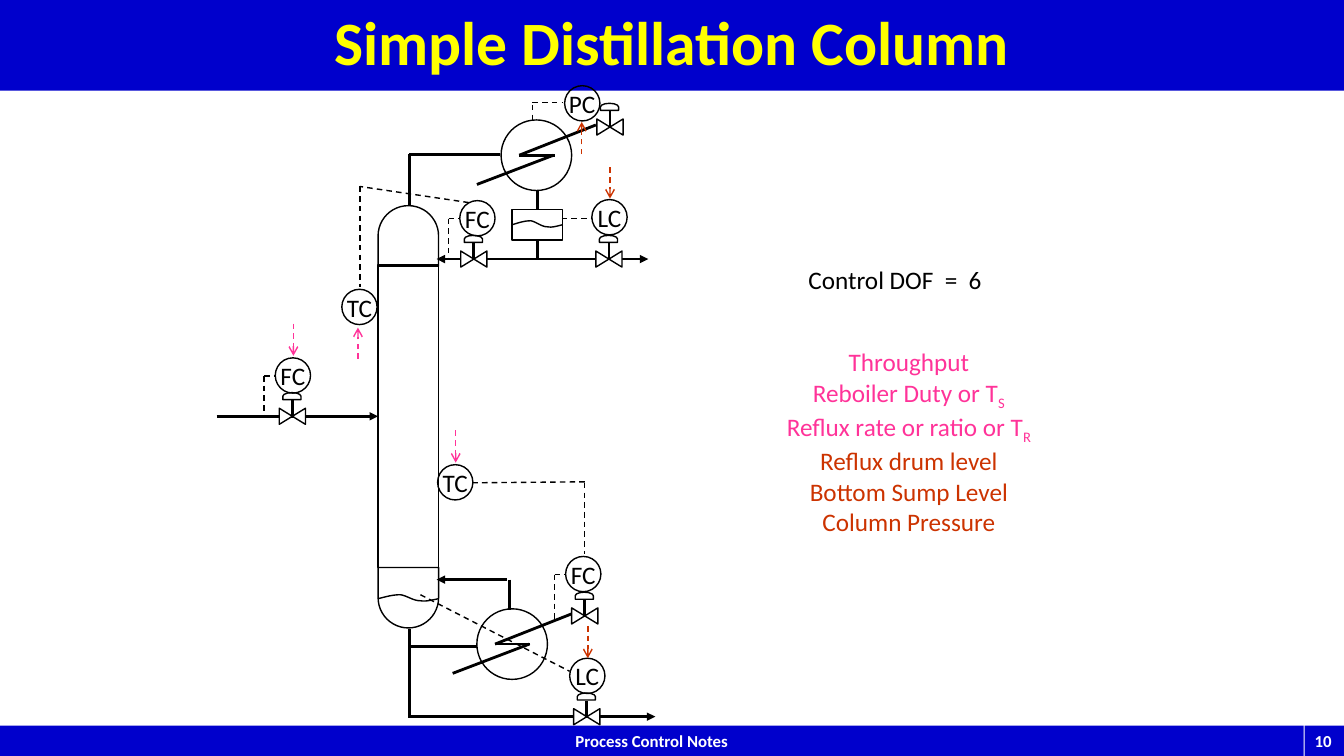
from lxml.etree import SubElement
from pptx import Presentation
from pptx.dml.color import RGBColor
from pptx.enum.dml import MSO_LINE
from pptx.enum.shapes import MSO_CONNECTOR, MSO_SHAPE
from pptx.enum.text import MSO_ANCHOR, MSO_AUTO_SIZE, PP_ALIGN
from pptx.oxml.ns import qn
from pptx.util import Cm, Pt

BLACK = RGBColor(0x00, 0x00, 0x00)
WHITE = RGBColor(0xFF, 0xFF, 0xFF)
BLUE = RGBColor(0x00, 0x00, 0xCC)
YELLOW = RGBColor(0xFF, 0xFF, 0x00)
PINK = RGBColor(0xFF, 0x33, 0x99)
RUST = RGBColor(0xCC, 0x33, 0x00)
TOP, LEFT, BOTTOM = 0, 1, 2

# Bezier points of a liquid surface: x as a share of the width, y in inches
WAVE = [(0, .04), (.12, .02), (.25, 0), (.37, 0), (.48, .01), (.58, .06),
        (.7, .06), (.8, .07), (.9, .05), (1, .04)]


def inches(value):
    return Cm(value * 2.54)


class Flowsheet:
    """Draws process equipment on one slide; positions are in inches."""
    font_name = "Calibri"

    def __init__(self, slide):
        self.slide = slide
        self.shapes = slide.shapes

    def style_run(self, run, size, color, bold=False):
        run.font.name = self.font_name
        run.font.size = Pt(size)
        run.font.bold = bold
        run.font.color.rgb = color

    def title(self, text, place, size):
        box = self.shapes.title
        box.left, box.top, box.width, box.height = map(inches, place)
        box.fill.solid()
        box.fill.fore_color.rgb = BLUE
        frame = box.text_frame
        frame.text = text
        frame.auto_size = MSO_AUTO_SIZE.NONE
        frame.vertical_anchor = MSO_ANCHOR.MIDDLE
        para = frame.paragraphs[0]
        para.alignment = PP_ALIGN.CENTER
        para.line_spacing = 0.9
        self.style_run(para.runs[0], size, YELLOW, True)

    def text(self, paragraphs, place, size=18, align=PP_ALIGN.CENTER,
             bold=False, wrap=False, fill=None):
        """Each paragraph is (text, color) or (text, color, subscript)."""
        box = self.shapes.add_textbox(*map(inches, place))
        if fill is not None:
            box.fill.solid()
            box.fill.fore_color.rgb = fill
        frame = box.text_frame
        frame.word_wrap = wrap
        frame.auto_size = MSO_AUTO_SIZE.SHAPE_TO_FIT_TEXT
        for number, (text, color, *subscripts) in enumerate(paragraphs):
            para = frame.add_paragraph() if number else frame.paragraphs[0]
            para.text = text
            para.alignment = align
            for subscript in subscripts:
                span = para.add_run()
                span.text = subscript
                span.font._element.set("baseline", "-25000")
            for run in para.runs:
                self.style_run(run, size, color, bold)

    def outline(self, shape, fill=None):
        shape.shadow.inherit = False
        if fill is None:
            shape.fill.background()
        else:
            shape.fill.solid()
            shape.fill.fore_color.rgb = fill
        shape.line.color.rgb = BLACK
        shape.line.width = Pt(1)
        return shape

    def shape(self, kind, left, top, width, height, rotation=0, fill=None):
        shape = self.shapes.add_shape(kind, *map(inches, (left, top, width, height)))
        shape.rotation = rotation
        return self.outline(shape, fill)

    def line(self, x1, y1, x2, y2, color=BLACK, width=1, dashed=False,
             head=None, tail=None):
        line = self.shapes.add_connector(
            MSO_CONNECTOR.STRAIGHT, *map(inches, (x1, y1, x2, y2)))
        line.line.color.rgb = color
        line.line.width = Pt(width)
        if dashed:
            line.line.dash_style = MSO_LINE.DASH
        for tag, arrow in (("a:headEnd", head), ("a:tailEnd", tail)):
            if arrow:
                SubElement(line.line._get_or_add_ln(), qn(tag), type=arrow)
        SubElement(line._element.spPr, qn("a:effectLst"))
        return line

    def pipe(self, *ends, head=None, tail=None):
        return self.line(*ends, width=2, head=head, tail=tail)

    def signal(self, *ends, color=BLACK, tail=None):
        return self.line(*ends, color=color, dashed=True, tail=tail)

    def liquid_surface(self, left, top, width, steps=8):
        points = []
        for start in range(0, len(WAVE) - 1, 3):
            curve = WAVE[start:start + 4]
            for step in range(steps + 1):
                t = step / steps
                weights = ((1 - t) ** 3, 3 * t * (1 - t) ** 2,
                           3 * t ** 2 * (1 - t), t ** 3)
                x = sum(w * p[0] for w, p in zip(weights, curve))
                y = sum(w * p[1] for w, p in zip(weights, curve))
                points.append((inches(left + x * width), inches(top + y)))
        builder = self.shapes.build_freeform(*points[0])
        builder.add_line_segments(points[1:], close=False)
        self.outline(builder.convert_to_shape())

    def exchanger(self, left, top):
        self.shape(MSO_SHAPE.OVAL, left, top, .7, .7)
        for x1, y1, x2, y2 in ((.94, .05, .18, .35), (.53, .35, .18, .35),
                               (.52, .35, -.24, .64)):
            self.pipe(left + x1, top + y1, left + x2, top + y2)

    def valve(self, x, y):
        self.shape(MSO_SHAPE.FLOWCHART_COLLATE, x - .08, y - .13, .16, .26, 270, WHITE)
        self.shape(MSO_SHAPE.FLOWCHART_DELAY, x - .04, y - .29, .07, .18, 270)
        self.pipe(x, y, x, y - .16)

    def controller(self, label, left, top):
        circle = self.shape(MSO_SHAPE.OVAL, left, top, .35, .35)
        frame = circle.text_frame
        frame.margin_left = frame.margin_right = 0
        frame.margin_top = frame.margin_bottom = 0
        frame.word_wrap = False
        frame.vertical_anchor = MSO_ANCHOR.MIDDLE
        frame.text = label
        para = frame.paragraphs[0]
        para.alignment = PP_ALIGN.CENTER
        self.style_run(para.runs[0], 18, BLACK)

    def flow_controller(self, left, top, drop):
        self.signal(left - .11, top + .18, left, top + .18)
        self.signal(left - .11, top + .18, left - .11, top + .18 + drop)
        self.controller("FC", left, top)


def main():
    deck = Presentation()
    deck.slide_width, deck.slide_height = inches(13.33), inches(7.5)
    page = Flowsheet(deck.slides.add_slide(deck.slide_layouts[5]))

    # Title and footer bars
    page.text([("Process Control Notes", WHITE)], (0, 7.2, 12.93, .3), 12,
              bold=True, wrap=True, fill=BLUE)
    page.text([("10", WHITE)], (12.94, 7.2, .4, .3), 12, PP_ALIGN.LEFT,
              bold=True, fill=BLUE)
    page.title("Simple Distillation Column", (0, 0, 13.33, .9), 44)

    # Column, reflux drum and heat exchangers
    column = page.shape(MSO_SHAPE.RECTANGLE, 3.75, 2.63, .6, 3)
    page.shape(MSO_SHAPE.FLOWCHART_DELAY, 3.75, 2.04, .6, .6, 270)
    page.shape(MSO_SHAPE.FLOWCHART_DELAY, 3.75, 5.63, .6, .6, 90)
    drum = page.shape(MSO_SHAPE.RECTANGLE, 5.08, 2.08, .5, .3)
    page.liquid_surface(5.08, 2.19, .5)
    page.liquid_surface(3.75, 5.9, .6)
    page.exchanger(4.97, 1.19)
    page.exchanger(4.73, 6.04)

    # Pipes
    for ends in ((4.06, 2.03, 4.06, 1.53), (4.06, 1.53, 4.96, 1.53),
                 (4.06, 6.24, 4.06, 7.12), (4.06, 6.41, 4.73, 6.41),
                 (5.05, 5.75, 5.05, 6.05)):
        page.pipe(*ends)
    page.pipe(4.33, 2.57, 6.43, 2.57, head="triangle", tail="triangle")
    page.pipe(4.06, 7.11, 6.5, 7.11, tail="triangle")
    page.pipe(5.03, 5.75, 4.33, 5.75, tail="triangle")
    page.pipe(2.15, 4.13, 3.75, 4.13, tail="triangle").end_connect(column, LEFT)
    page.pipe(5.33, 1.89, 5.33, 2.08).end_connect(drum, TOP)
    page.pipe(5.33, 2.38, 5.33, 2.57).begin_connect(drum, BOTTOM)

    # Control valves
    for x, y in ((2.9, 4.13), (4.7, 2.57), (6.04, 2.57), (6.05, 1.26),
                 (5.8, 6.11), (5.82, 7.11)):
        page.valve(x, y)

    # Controllers
    for left, top, drop in ((4.56, 1.99, .4), (5.61, 5.52, .45), (2.73, 3.55, .4)):
        page.flow_controller(left, top, drop)
    for label, left, top in (("TC", 4.34, 4.61), ("TC", 3.39, 2.87),
                             ("LC", 5.87, 1.98), ("LC", 5.65, 6.53),
                             ("PC", 5.6, .85)):
        page.controller(label, left, top)

    # Signals between instruments
    for ends in ((5.8, 4.78, 4.69, 4.79), (5.8, 4.79, 5.8, 5.5),
                 (3.57, 1.85, 3.57, 2.85), (4.65, 2.01, 3.57, 1.85),
                 (5.57, 2.17, 5.87, 2.17), (4.17, 5.9, 5.65, 6.66),
                 (5.28, 1.02, 5.58, 1.02), (5.28, 1.04, 5.28, 1.19)):
        page.signal(*ends)

    # Setpoints: the control degrees of freedom
    for color, x, start, end in ((PINK, 4.52, 4.27, 4.59), (PINK, 3.55, 3.56, 3.25),
                                 (PINK, 2.91, 3.21, 3.53), (RUST, 6.05, 1.66, 1.97),
                                 (RUST, 5.83, 6.21, 6.53), (RUST, 5.77, 1.53, 1.21)):
        page.signal(x, start, x, end, color=color, tail="arrow")

    # Notes on the right
    page.text([("Control DOF  =  6", BLACK)], (7.92, 2.57, 1.94, .4),
              align=PP_ALIGN.LEFT)
    page.text([("Throughput", PINK), ("Reboiler Duty or T", PINK, "S"),
               ("Reflux rate or ratio or T", PINK, "R"), ("Reflux drum level", RUST),
               ("Bottom Sump Level", RUST), ("Column Pressure", RUST)],
              (7.68, 3.39, 2.67, 1.92))

    deck.save("out.pptx")


if __name__ == "__main__":
    main()
